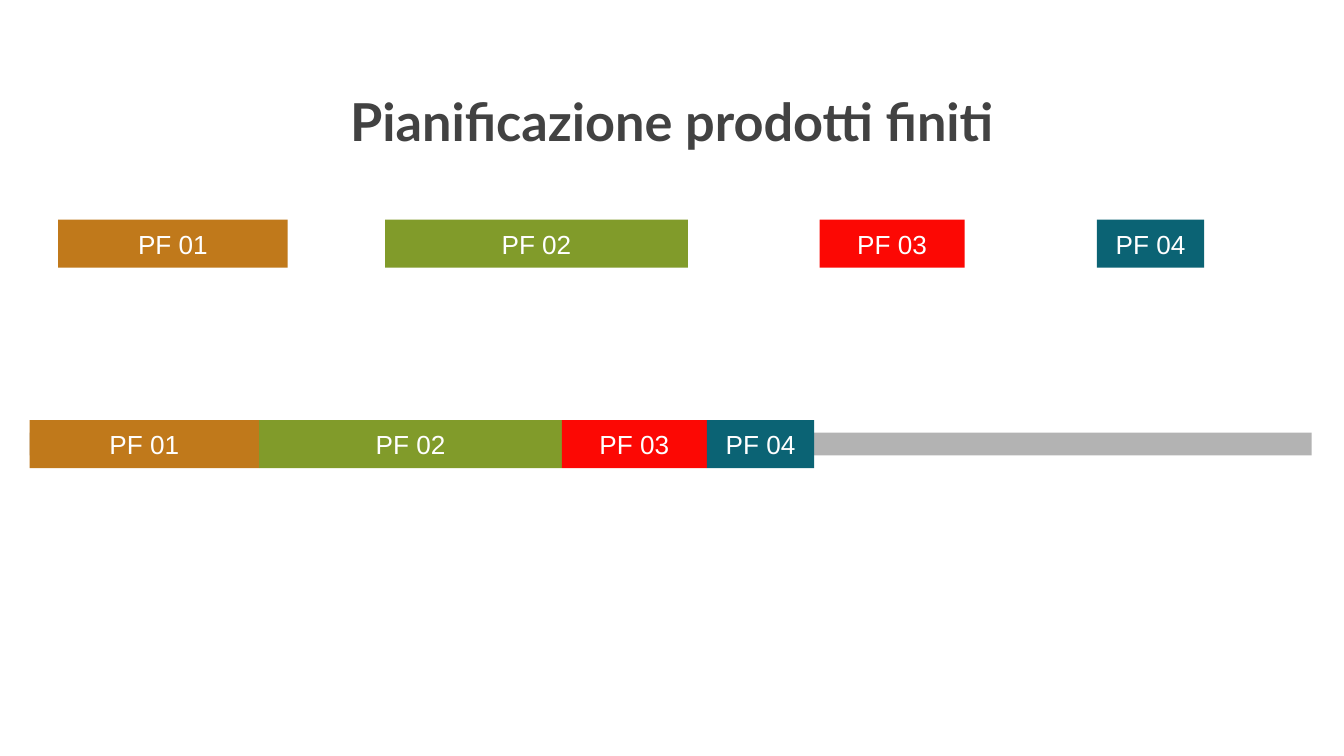
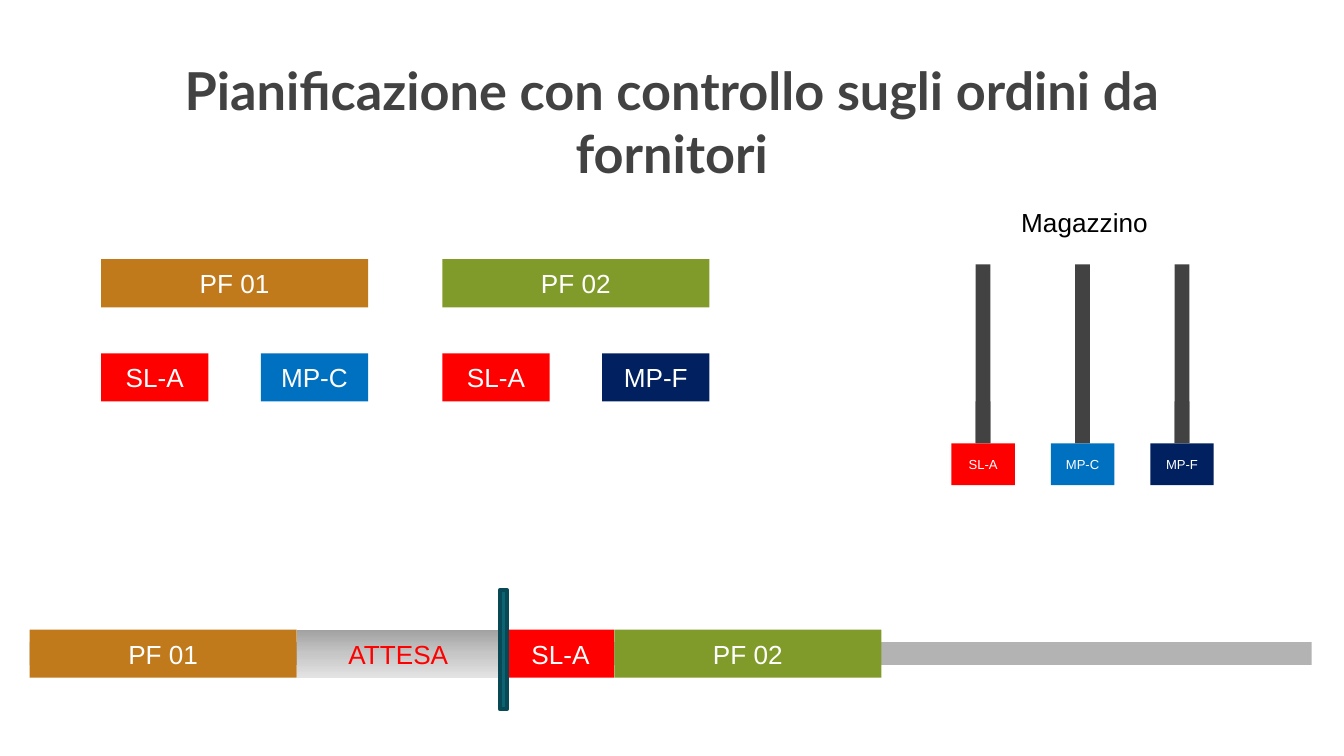
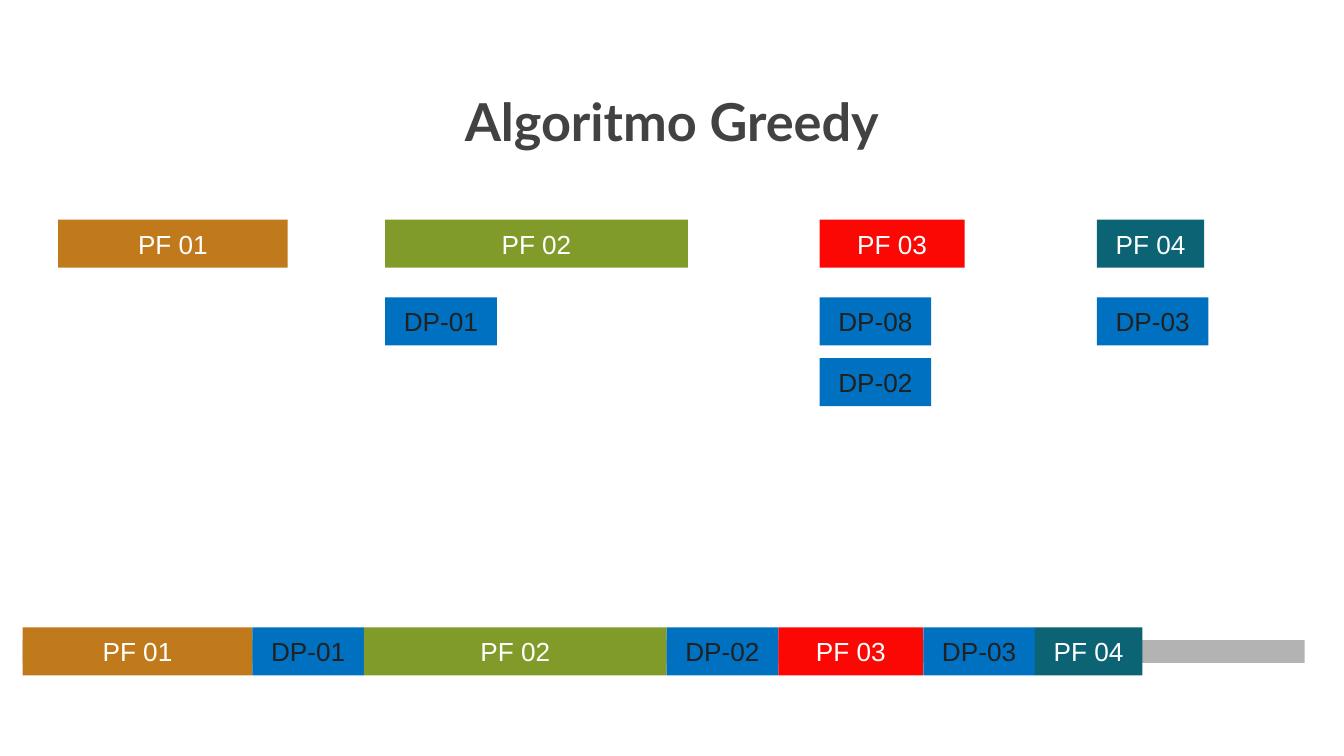
from copy import deepcopy

from lxml.etree import SubElement
from pptx import Presentation
from pptx.dml.color import RGBColor
from pptx.enum.shapes import MSO_SHAPE
from pptx.enum.text import MSO_ANCHOR, MSO_AUTO_SIZE, PP_ALIGN
from pptx.oxml.ns import qn
from pptx.util import Cm, Pt

# Theme: colours, fonts and type sizes
THEME = {
    "title": {"name": "Lato", "size": Pt(28), "bold": True, "color": "424242"},
    "label": {"name": "Arial", "size": Pt(14), "color": "FFFFFF"},
    "small": {"name": "Arial", "size": Pt(7), "color": "FFFFFF"},
    "dark": {"name": "Arial", "size": Pt(14), "color": "212121"},
    "alert": {"name": "Arial", "size": Pt(14), "color": "FF0000"},
    "plain": {"name": "Arial", "size": Pt(14), "color": "000000"},
    "fills": {
        "PF 01": "C0791B", "PF 02": "819B2A", "PF 03": "FC0804", "PF 04": "0B6374",
        "SL-A": "FF0000", "MP-C": "0070C0", "MP-F": "002060", "DP": "0070C0",
        "axis": "B3B3B3", "rod": "424242", "gate": "0B6374", "gate line": "084956",
    },
    "wait": [(0, "A1A1A1"), (0.5, "C6C6C6"), (1, "E3E3E3")],
}
FILLS = THEME["fills"]

# Content (lengths in cm)
TITLES = [
    "Pianificazione prodotti finiti",
    "Pianificazione con controllo sugli ordini da fornitori",
    "Algoritmo Greedy",
]
WIDTHS = {"PF 01": 4.34, "PF 02": 5.72, "PF 03": 2.74, "PF 04": 2.03, "DP": 2.11}
PRODUCTS = [("PF 01", 1.1), ("PF 02", 7.28), ("PF 03", 15.49), ("PF 04", 20.73)]
SETUPS = {"PF 02": ["DP-01"], "PF 03": ["DP-08", "DP-02"], "PF 04": ["DP-03"]}
GREEDY = ["PF 01", "DP-01", "PF 02", "DP-02", "PF 03", "DP-03", "PF 04"]

SUPPLY_WIDTHS = {"PF 01": 5.05, "PF 02": 5.05, "ATTESA": 3.84, "SL-A": 2.03,
                 "MP-C": 2.03, "MP-F": 2.03, "gate": 0.13}
ORDERS = [("PF 01", 1.91, ["SL-A", "MP-C"]), ("PF 02", 8.36, ["SL-A", "MP-F"])]
SUPPLY_PLAN = ["PF 01", "ATTESA", "gate", "SL-A", "PF 02"]
STOCK = ["SL-A", "MP-C", "MP-F"]

# Shared geometry
BLOCK_H, AXIS_W, AXIS_H = 0.91, 24.23, 0.43
PRODUCT_Y = 4.15


def write(tf, text, style, align):
    p = tf.paragraphs[0]
    p.alignment = align
    r = p.add_run()
    r.text = text
    for key, value in THEME[style].items():
        if key == "color":
            r.font.color.rgb = RGBColor.from_string(value)
        else:
            setattr(r.font, key, value)
    return r


def add_box(s, x, y, w, h, fill, text="", style="label"):
    sp = s.shapes.add_shape(MSO_SHAPE.RECTANGLE, Cm(x), Cm(y), Cm(w), Cm(h))
    sp.shadow.inherit = False
    sp.line.fill.background()
    if isinstance(fill, list):
        sp.fill.gradient()
        sp.fill.gradient_angle = 270
        first = sp._element.spPr.find(".//" + qn("a:gs"))
        first.addnext(deepcopy(first))
        for stop, (position, color) in zip(sp.fill.gradient_stops, fill):
            stop.position = position
            stop.color.rgb = RGBColor.from_string(color)
    else:
        sp.fill.solid()
        sp.fill.fore_color.rgb = RGBColor.from_string(fill)
    if text:
        tf = sp.text_frame
        for side in ("left", "right", "top", "bottom"):
            setattr(tf, f"margin_{side}", 0)
        tf.vertical_anchor = MSO_ANCHOR.MIDDLE
        write(tf, text, style, PP_ALIGN.CENTER)
    return sp


def add_block(s, label, x, y, w):
    """A labelled block whose colours follow from its label."""
    if label == "ATTESA":
        add_box(s, x, y, w, BLOCK_H, THEME["wait"], label, "alert")
    elif label.startswith("DP"):
        add_box(s, x, y, w, BLOCK_H, FILLS["DP"], label, "dark")
    else:
        add_box(s, x, y, w, BLOCK_H, FILLS[label], label)


def add_gate(s, x, y, w):
    sp = add_box(s, x, y - 0.75, w, 2.26, FILLS["gate"])
    sp.line.color.rgb = RGBColor.from_string(FILLS["gate line"])
    sp.line.width = Pt(2)


def add_timeline(s, labels, widths, x, y):
    """Blocks end to end on a grey axis, with any gate on top."""
    add_box(s, x, y + (BLOCK_H - AXIS_H) / 2, AXIS_W, AXIS_H, FILLS["axis"])
    gates = []
    for label in labels:
        w = widths["DP" if label.startswith("DP") else label]
        if label == "gate":
            gates.append((x, y, w))
        else:
            add_block(s, label, x, y, w)
        x += w
    for gate in gates:
        add_gate(s, *gate)


def add_products(s):
    for label, x in PRODUCTS:
        add_block(s, label, x, PRODUCT_Y, WIDTHS[label])


def add_slide(prs, title):
    s = prs.slides.add_slide(prs.slide_layouts[5])
    sp = s.shapes.title
    sp.left, sp.top, sp.width, sp.height = Cm(1.91), Cm(1.27), Cm(21.57), Cm(2.03)
    tf = sp.text_frame
    tf.word_wrap = True
    tf.auto_size = MSO_AUTO_SIZE.NONE
    tf.vertical_anchor = MSO_ANCHOR.MIDDLE
    r = write(tf, title, "title", PP_ALIGN.CENTER)
    # Soft shadow under the title letters
    rPr = r.font._element
    effects = SubElement(rPr, qn("a:effectLst"))
    shadow = SubElement(effects, qn("a:outerShdw"),
                        blurRad="38100", dist="38100", dir="2700000", algn="tl")
    color = SubElement(shadow, qn("a:srgbClr"), val="000000")
    SubElement(color, qn("a:alpha"), val="43000")
    rPr.find(qn("a:solidFill")).addnext(effects)
    return s


def build_finished(s):
    add_products(s)
    add_timeline(s, [label for label, _ in PRODUCTS], WIDTHS, 0.56, 7.94)


def build_supply(s):
    # Orders, with their two parts at the left and right edges
    for label, x, parts in ORDERS:
        w, part_w = SUPPLY_WIDTHS[label], SUPPLY_WIDTHS["SL-A"]
        add_block(s, label, x, 4.9, w)
        for i, part in enumerate(parts):
            add_block(s, part, x + i * (w - part_w), 6.68, part_w)
    # Warehouse: a rod with a collar above each stock box
    x0, pitch, box_w, box_h, rod_w = 17.98, 1.88, 1.2, 0.79, 0.28
    rod_top, base = 5, 8.38
    for i, part in enumerate(STOCK):
        x = x0 + i * pitch
        add_box(s, x, base, box_w, box_h, FILLS[part], part, "small")
        for top in (rod_top, base - box_h):
            add_box(s, x + (box_w - rod_w) / 2, top, rod_w, base - top, FILLS["rod"])
    tb = s.shapes.add_textbox(Cm(19.05), Cm(3.78), Cm(4.04), Cm(0.86))
    tb.text_frame.word_wrap = True
    write(tb.text_frame, "Magazzino", "plain", PP_ALIGN.LEFT)
    add_timeline(s, SUPPLY_PLAN, SUPPLY_WIDTHS, 0.56, 11.9)


def build_greedy(s):
    add_products(s)
    for label, x in PRODUCTS:
        for i, setup in enumerate(SETUPS.get(label, [])):
            add_block(s, setup, x, 5.62 + i * 1.15, WIDTHS["DP"])
    add_timeline(s, GREEDY, WIDTHS, 0.43, 11.86)


def main():
    prs = Presentation()
    prs.slide_width, prs.slide_height = Cm(25.4), Cm(14.29)
    for title, build in zip(TITLES, (build_finished, build_supply, build_greedy)):
        build(add_slide(prs, title))
    prs.save("out.pptx")


if __name__ == "__main__":
    main()
